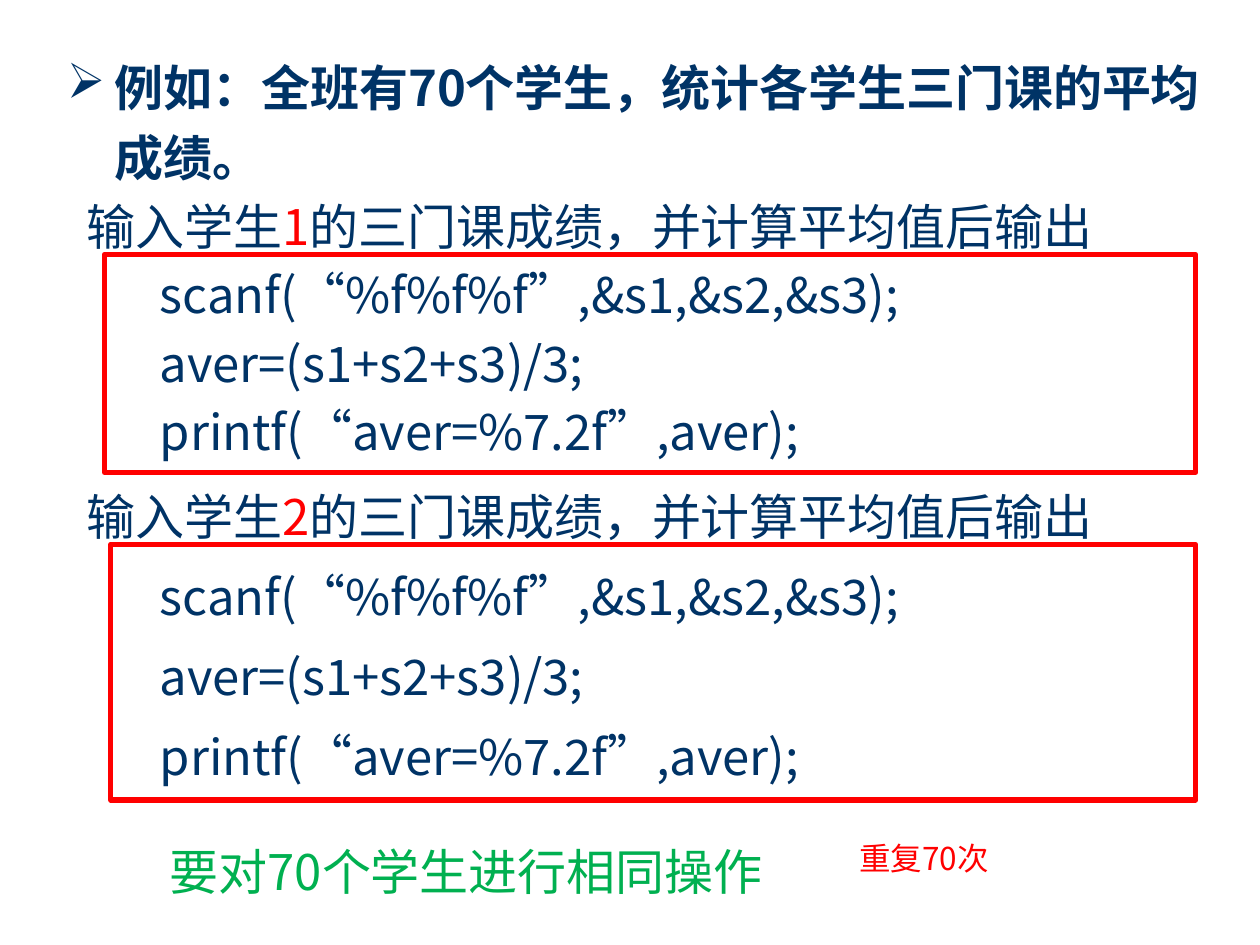
from dataclasses import dataclass

from lxml.etree import SubElement
from pptx import Presentation
from pptx.dml.color import RGBColor as Color
from pptx.enum.lang import MSO_LANGUAGE_ID as Language
from pptx.enum.shapes import MSO_SHAPE as Shape
from pptx.enum.text import MSO_ANCHOR as Anchor, MSO_AUTO_SIZE as AutoSize, PP_ALIGN as Align
from pptx.oxml.ns import qn
from pptx.util import Inches, Pt


@dataclass(frozen=True)
class Theme:
    """Colours, font and type sizes of the deck."""
    font: str = "Noto Sans CJK SC"
    ink: str = "003366"
    accent: str = "FF0000"
    summary: str = "00B050"
    paper: str = "FFFFFF"
    body: int = 28
    small: int = 18
    line: float = 1.2
    loose: float = 1.44
    gap: float = 0.2
    frame: int = 3


@dataclass(frozen=True)
class Box:
    """A region in columns and rows of the page grid."""
    left: float
    top: float
    width: float
    height: float

    def place(self):
        """Return the region as left, top, width and height lengths."""
        return [Inches(cells * CELL) for cells in (self.left, self.top, self.width, self.height)]


THEME = Theme()
COLUMNS, ROWS = 100, 75
CELL = 0.1
CODE = ("scanf(“%f%f%f”,&s1,&s2,&s3);", "aver=(s1+s2+s3)/3;", "printf(“aver=%7.2f”,aver);")


def prepare(frame, anchor=Anchor.TOP):
    """Give a text frame the wrapping, anchor and insets of the page."""
    frame.word_wrap = True
    frame.auto_size = AutoSize.NONE
    frame.vertical_anchor = anchor
    frame.margin_left, frame.margin_right = Inches(0.1), Inches(0.12)
    frame.margin_top, frame.margin_bottom = Inches(0.08), 0
    return frame


def format_para(para, size, spacing, margin=0.0, hanging=0.0):
    """Set line pitch and a hanging indent on a paragraph."""
    para.alignment = Align.LEFT
    para.line_spacing = Pt(round(size * spacing, 1))
    para.space_before = Pt(0)
    properties = para._p.get_or_add_pPr()
    properties.set("marL", str(Inches(margin)))
    properties.set("indent", str(-Inches(hanging)))
    return properties


def add_span(para, text, colour=THEME.ink, size=THEME.body, bold=False):
    """Append a run in the deck font."""
    span = para.add_run()
    span.text = text
    font = span.font
    font.size, font.bold, font.name = Pt(size), bold, THEME.font
    font.color.rgb = Color.from_string(colour)
    font.language_id = Language.SIMPLIFIED_CHINESE
    SubElement(span._r.get_or_add_rPr(), qn("a:ea"), typeface=THEME.font)


def add_title(page, box, text):
    """Place the bulleted problem statement in the title placeholder."""
    title = page.shapes.title
    title.left, title.top, title.width, title.height = box.place()
    title.fill.solid()
    title.fill.fore_color.rgb = Color.from_string(THEME.paper)
    para = prepare(title.text_frame, Anchor.MIDDLE).paragraphs[0]
    properties = format_para(para, THEME.body, THEME.loose, 0.38, 0.38)
    SubElement(properties, qn("a:buChar"), char="➢")
    add_span(para, text, bold=True)


def add_line(page, box, spans, size=THEME.body, spacing=THEME.loose, indent=0.31):
    """Place one line of text made of coloured spans."""
    frame = prepare(page.shapes.add_textbox(*box.place()).text_frame)
    para = frame.paragraphs[0]
    format_para(para, size, spacing, indent, indent)
    for text, colour in spans:
        add_span(para, text, colour, size)


def add_code(page, box, border, spacing):
    """Place the code lines and the red frame around them."""
    frame = prepare(page.shapes.add_textbox(*box.place()).text_frame)
    for number, line in enumerate(CODE):
        para = frame.add_paragraph() if number else frame.paragraphs[0]
        para.level = 1
        format_para(para, THEME.body, spacing, 0.81, 0.31)
        if number:
            para.space_before = Pt(THEME.body * THEME.gap)
        add_span(para, line)
    outline = page.shapes.add_shape(Shape.RECTANGLE, *border.place())
    outline.shadow.inherit = False
    outline.fill.background()
    outline.line.color.rgb = Color.from_string(THEME.accent)
    outline.line.width = Pt(THEME.frame)


def add_student(page, number, label, code, border, spacing):
    """Place one student's step: its label and its framed code."""
    add_line(page, label, [("输入学生", THEME.ink), (number, THEME.accent),
                           ("的三门课成绩，并计算平均值后输出", THEME.ink)])
    add_code(page, code, border, spacing)


def main():
    """Build and save the deck."""
    deck = Presentation()
    deck.slide_width, deck.slide_height = Inches(COLUMNS * CELL), Inches(ROWS * CELL)
    page = deck.slides.add_slide(deck.slide_layouts[5])
    add_title(page, Box(4.3, 2.1, 93.6, 13.4), "例如：全班有70个学生，统计各学生三门课的平均成绩。")
    add_student(page, "1", Box(5.9, 13.9, 86.7, 7), Box(6.7, 20.2, 82, 16.9),
                Box(8.3, 20.2, 86.6, 17.3), THEME.line)
    add_student(page, "2", Box(5.9, 36.9, 86.7, 7), Box(6.7, 43.2, 82, 20.3),
                Box(8.8, 43.2, 86.1, 20.3), THEME.loose)
    add_line(page, Box(12.5, 65.1, 54.7, 7), [("要对70个学生进行相同操作", THEME.summary)])
    add_line(page, Box(67.2, 65.8, 25.3, 6.3), [("重复70次", THEME.accent)],
             THEME.small, THEME.line, 0)
    deck.save("out.pptx")


if __name__ == "__main__":
    main()
